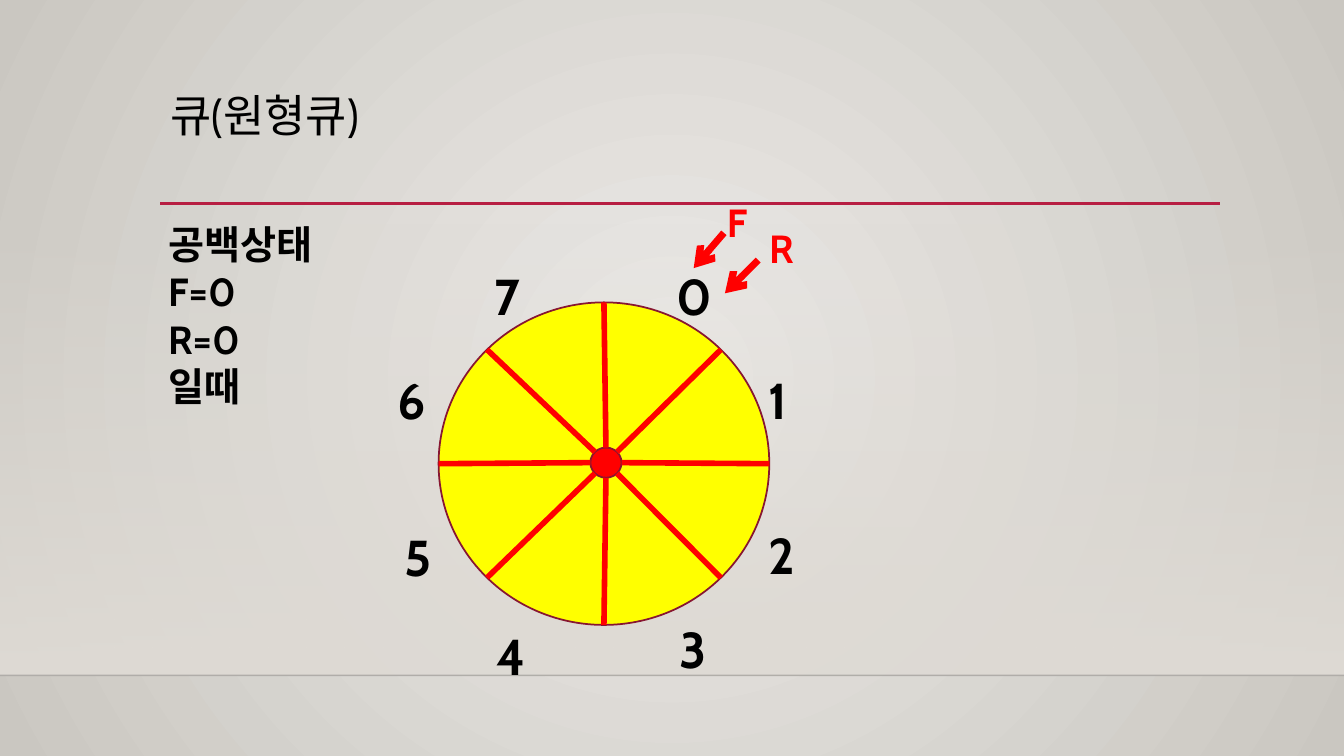
import math
from dataclasses import dataclass

import lxml.etree
import pptx
import pptx.dml.color
import pptx.enum.dml
import pptx.enum.shapes
import pptx.enum.text
import pptx.oxml
import pptx.oxml.ns
import pptx.util

Inches = pptx.util.Inches
qn = pptx.oxml.ns.qn


@dataclass(frozen=True)
class Theme:
    font: str = "Cabin"
    text: str = "000000"
    accent: str = "FF0000"
    ring: str = "FFFF00"
    outline: str = "871631"
    rule: str = "B71E42"
    horizon: str = "000001"
    floor: str = "DFDBD5"
    background_inner: str = "ECEAE7"
    background_outer: str = "CAC7C1"
    title_size: int = 32
    index_size: int = 36
    body_size: int = 28


THEME = Theme()

# Ellipses as (centre x, centre y, radius x, radius y)
RING = (5.99, 4.6, 1.64, 1.6)
HUB = (6.01, 4.59, 0.155, 0.15)
SLOTS = 8

# Left and top of the slot numbers, clockwise from 0
INDEX_POSITIONS = [
    (6.61, 2.58), (7.52, 3.61), (7.52, 5.15), (6.64, 6.08),
    (4.83, 6.15), (3.91, 5.17), (3.84, 3.61), (4.81, 2.58),
]

# Pointer name, label position, arrow start, arrow end
POINTERS = [
    ("F", (7.11, 1.92), (7.18, 2.31), (6.88, 2.66)),
    ("R", (7.53, 2.18), (7.52, 2.58), (7.19, 2.91)),
]


def rgb(value):
    return pptx.dml.color.RGBColor.from_string(value)


def set_alpha(color_element, percent):
    alpha = lxml.etree.SubElement(color_element, qn("a:alpha"))
    alpha.set("val", str(percent * 1000))


def set_gradient(fill, colors):
    fill.gradient()
    for stop, color, position in zip(fill.gradient_stops, colors, (0, 1)):
        stop.color.rgb = rgb(color)
        stop.position = position


def paint_background(slide):
    set_gradient(slide.background.fill,
                 (THEME.background_inner, THEME.background_outer))
    gradient = next(slide.element.iter(qn("a:gradFill")))
    radial = pptx.oxml.parse_xml(
        f'<a:path {pptx.oxml.ns.nsdecls("a")} path="circle">'
        '<a:fillToRect l="50000" t="50000" r="50000" b="50000"/></a:path>')
    gradient.replace(gradient.find(qn("a:lin")), radial)


def add_floor(slide):
    shape = slide.shapes.add_shape(
        pptx.enum.shapes.MSO_SHAPE.RECTANGLE,
        Inches(0), Inches(2.21), Inches(13.33), Inches(4.49))
    shape.shadow.inherit = False
    shape.line.fill.background()
    set_gradient(shape.fill, (THEME.floor, THEME.floor))
    shape.fill.gradient_angle = 270
    set_alpha(next(shape.element.iter(qn("a:srgbClr"))), 0)


def add_line(slide, start, end, color, width, arrow=False, opacity=100):
    connector = slide.shapes.add_connector(
        pptx.enum.shapes.MSO_CONNECTOR.STRAIGHT,
        *(Inches(value) for value in (*start, *end)))
    connector.line.color.rgb = rgb(color)
    connector.line.width = pptx.util.Pt(width)
    properties = connector.element.spPr
    lxml.etree.SubElement(properties, qn("a:effectLst"))
    if opacity < 100:
        set_alpha(next(properties.iter(qn("a:srgbClr"))), opacity)
    if arrow:
        tail = lxml.etree.SubElement(properties.find(qn("a:ln")), qn("a:tailEnd"))
        tail.set("type", "arrow")


def add_ellipse(slide, ellipse, color):
    x, y, radius_x, radius_y = ellipse
    shape = slide.shapes.add_shape(
        pptx.enum.shapes.MSO_SHAPE.OVAL,
        Inches(x - radius_x), Inches(y - radius_y),
        Inches(2 * radius_x), Inches(2 * radius_y))
    shape.shadow.inherit = False
    shape.fill.solid()
    shape.fill.fore_color.rgb = rgb(color)
    shape.line.color.rgb = rgb(THEME.outline)
    shape.line.width = pptx.util.Pt(1.25)


def point_on(ellipse, angle):
    x, y, radius_x, radius_y = ellipse
    return x + radius_x * math.cos(angle), y + radius_y * math.sin(angle)


def write_text(frame, lines, size, color, bold=True, spacing=None):
    frame.word_wrap = True
    frame.vertical_anchor = pptx.enum.text.MSO_ANCHOR.TOP
    font_format = {"name": THEME.font, "size": pptx.util.Pt(size), "bold": bold}
    for number, line in enumerate(lines):
        paragraph = frame.paragraphs[0] if number == 0 else frame.add_paragraph()
        paragraph.alignment = pptx.enum.text.PP_ALIGN.LEFT
        if spacing:
            paragraph.line_spacing = spacing
        run = paragraph.add_run()
        run.text = line
        for name, value in font_format.items():
            setattr(run.font, name, value)
        run.font.color.rgb = rgb(color)


def add_label(slide, position, size, lines, text_size, color):
    box = slide.shapes.add_textbox(
        *(Inches(value) for value in (*position, *size)))
    write_text(box.text_frame, lines, text_size, color)
    box.text_frame.auto_size = pptx.enum.text.MSO_AUTO_SIZE.SHAPE_TO_FIT_TEXT


def set_title(slide, text):
    title = slide.shapes.title
    place = {"left": 1.59, "top": 0.88, "width": 10.5, "height": 1.15}
    for name, value in place.items():
        setattr(title, name, Inches(value))
    write_text(title.text_frame, [text], THEME.title_size, THEME.text,
               bold=False, spacing=0.9)
    title.text_frame.auto_size = pptx.enum.text.MSO_AUTO_SIZE.NONE


def add_circular_queue(slide):
    add_ellipse(slide, RING, THEME.ring)
    add_ellipse(slide, HUB, THEME.accent)
    for slot in range(SLOTS):
        angle = slot * math.tau / SLOTS
        add_line(slide, point_on(HUB, angle), point_on(RING, angle),
                 THEME.accent, 4)
    for index, position in enumerate(INDEX_POSITIONS):
        add_label(slide, position, (0.54, 0.49), [str(index)],
                  THEME.index_size, THEME.text)


def main():
    presentation = pptx.Presentation()
    presentation.slide_width = Inches(13.33)
    presentation.slide_height = Inches(7.5)
    slide = presentation.slides.add_slide(presentation.slide_layouts[5])

    # Backdrop and title
    paint_background(slide)
    add_floor(slide)
    add_line(slide, (0, 6.7), (13.33, 6.7), THEME.horizon, 1, opacity=20)
    add_line(slide, (1.59, 2.02), (12.1, 2.02), THEME.rule, 2.5)
    set_title(slide, "큐(원형큐)")

    # Queue with its front and rear pointers
    add_circular_queue(slide)
    for name, position, start, end in POINTERS:
        add_line(slide, start, end, THEME.accent, 5, arrow=True)
        add_label(slide, position, (0.68, 0.39), [name],
                  THEME.body_size, THEME.accent)

    # State description
    add_label(slide, (1.57, 2.14), (5.31, 1.99),
              ["공백상태", "F=0", "R=0", "일때"], THEME.body_size, THEME.text)

    presentation.save("out.pptx")


if __name__ == "__main__":
    main()
